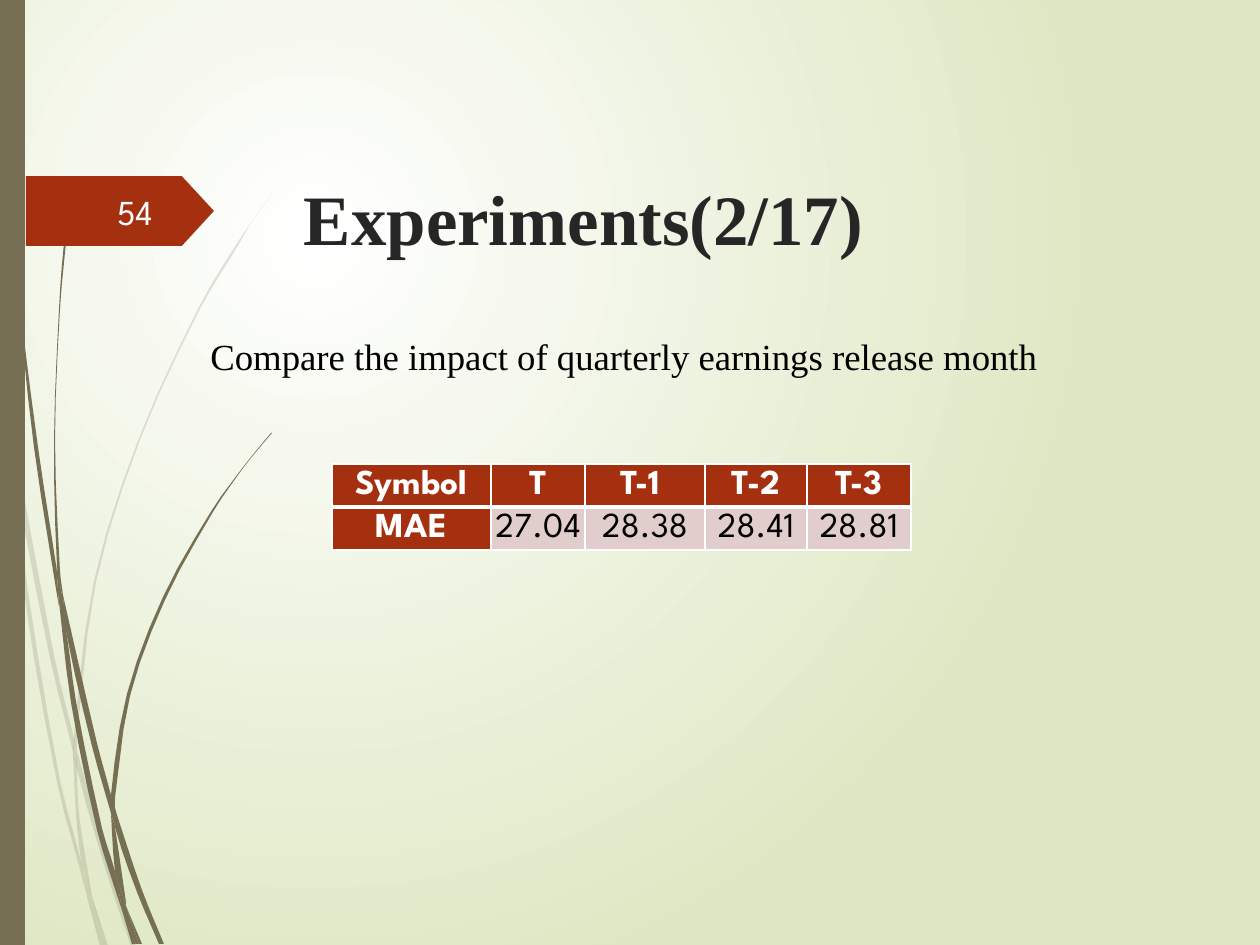
import math

from lxml import etree
from pptx import Presentation
from pptx import util as u
from pptx.dml.color import RGBColor
from pptx.enum import shapes, text
from pptx.oxml.ns import qn

PX = 914400 / 126
OLIVE = RGBColor(0x76, 0x6F, 0x54)
RUST = RGBColor(0xA5, 0x30, 0x10)
PINK = RGBColor(0xE1, 0xCD, 0xCC)
PALE_GREEN = RGBColor(0xDF, 0xE8, 0xC4)
CHARCOAL = RGBColor(0x26, 0x26, 0x26)
BLACK = RGBColor(0, 0, 0)
WHITE = RGBColor(0xFF, 0xFF, 0xFF)
SANS, SERIF = "League Spartan", "Times New Roman"

TITLE = "Experiments(2/17)"
SUBTITLE = "Compare the impact of quarterly earnings release month"
PAGE = "54"
ROWS = [
    ("Symbol", "T", "T-1 ", "T-2", "T-3"),
    ("MAE", "27.04", "28.38", "28.41", "28.81"),
]
COLUMN_WIDTHS = (159, 94, 120, 102, 104)
ROW_HEIGHT = 43

FAINT, SOLID = 20, 100
FAINT_BLADES = [
    ([(10, 441), (8, 406), (0, 355)], [(0, 377), (9, 433), (10, 441)]),
    ([(13, 435), (15, 474), (50, 658), (74, 755)], [(74, 738), (54, 655), (13, 435)]),
    ([(77, 751), (77, 769), (107, 874), (131, 946)], [(136, 946), (111, 872), (81, 765), (77, 751)]),
    ([(92, 896), (105, 946)], [(108, 946), (92, 896)]),
    ([(10, 441), (24, 592), (57, 782), (81, 873), (88, 900)],
     [(87, 891), (81, 861), (60, 780), (28, 591), (15, 474), (10, 441)]),
    ([(73, 755), (76, 814), (81, 861), (84, 872), (92, 896)],
     [(91, 890), (79, 814), (77, 769), (77, 766), (73, 755)]),
    ([(273, 193), (253, 220), (234, 248), (199, 307), (139, 438), (94, 581), (74, 736), (77, 751)],
     [(77, 736), (96, 582), (140, 440), (200, 309), (236, 249), (253, 220), (273, 193)]),
    ([(88, 900), (100, 946)], [(103, 946), (88, 900)]),
    ([(74, 738), (73, 755), (77, 766), (77, 769)], [(77, 751), (74, 738)]),
    ([(82, 861), (87, 891), (88, 900), (103, 946)], [(105, 946), (92, 896), (84, 872), (82, 861)]),
]
SOLID_BLADES = [
    ([(3, 0), (4, 60), (6, 139), (18, 294), (34, 447), (58, 601), (59, 606)],
     [(57, 576), (57, 571), (38, 447), (19, 292), (8, 137), (5, 60), (4, 0)]),
    ([(63, 595), (67, 636), (92, 746), (111, 813)], [(111, 798), (111, 795), (97, 743), (63, 595)]),
    ([(115, 808), (115, 827), (137, 892), (159, 944)], [(164, 944), (142, 890), (118, 818), (115, 808)]),
    ([(59, 601), (71, 702), (97, 830), (116, 892), (122, 910)],
     [(121, 903), (115, 871), (102, 828), (76, 701), (67, 636), (59, 601)]),
    ([(73, 178), (64, 243), (59, 309), (54, 440), (57, 566), (62, 595)],
     [(63, 595), (60, 571), (55, 440), (60, 309), (66, 243), (73, 178)]),
    ([(126, 906), (139, 944)], [(142, 944), (126, 906)]),
    ([(57, 566), (57, 571), (59, 601), (67, 636)], [(63, 595), (62, 595), (57, 566)]),
    ([(271, 433), (256, 451), (241, 470), (212, 510), (163, 597), (127, 694), (111, 795), (115, 808)],
     [(115, 798), (130, 696), (165, 600), (213, 512), (241, 471), (256, 452), (272, 433)]),
    ([(122, 910), (132, 944)], [(136, 944), (122, 910)]),
    ([(111, 813), (115, 871), (121, 890), (126, 906)], [(126, 902), (115, 827), (113, 820), (111, 813)]),
    ([(111, 795), (111, 798), (111, 813), (113, 820), (115, 827)], [(115, 808), (111, 795)]),
    ([(115, 871), (121, 903), (122, 910), (136, 944)], [(139, 944), (126, 906), (121, 890), (115, 871)]),
]


def px(*lengths):
    return [u.Emu(round(length * PX)) for length in lengths]


def smooth_edge(points, steps=3):
    directions = []
    for before, after in zip([points[0], *points], [*points[1:], points[-1]]):
        length = math.dist(before, after)
        directions.append([(b - a) / length for a, b in zip(before, after)])
    edge = []
    for start, end, leave, arrive in zip(points, points[1:], directions, directions[1:]):
        chord = math.dist(start, end)
        for step in range(steps):
            t = step / steps
            blend = t * t * (3 - 2 * t)
            edge.append([
                a + (b - a) * blend + chord * (m * t * (1 - t) ** 2 - n * t * t * (1 - t))
                for a, b, m, n in zip(start, end, leave, arrive)])
    return edge + [points[-1]]


def paint(shape, color, opacity=SOLID):
    shape.shadow.inherit = False
    shape.line.fill.background()
    shape.fill.solid()
    shape.fill.fore_color.rgb = color
    if opacity < SOLID:
        color_node = shape.fill._xPr.find(".//" + qn("a:srgbClr"))
        etree.SubElement(color_node, qn("a:alpha"), val=str(opacity * 1000))


def add_blade(slide, edges, opacity):
    outline = [px(*point) for edge in edges for point in smooth_edge(edge)]
    builder = slide.shapes.build_freeform(*outline[0])
    builder.add_line_segments(outline[1:], close=True)
    paint(builder.convert_to_shape(), OLIVE, opacity)


def write(frame, content, font_name, size, color, bold=False, align=text.PP_ALIGN.LEFT):
    paragraph = frame.paragraphs[0]
    paragraph.text = content
    paragraph.alignment = align
    font = paragraph.font
    font.name, font.size, font.bold = font_name, u.Pt(size), bold
    font.color.rgb = color


def set_borders(cell, bottom_points):
    properties = cell._tc.get_or_add_tcPr()
    for side, points in (("L", 1), ("R", 1), ("T", 1), ("B", bottom_points)):
        line = etree.SubElement(properties, qn("a:ln" + side), w=str(u.Pt(points)))
        fill = etree.SubElement(line, qn("a:solidFill"))
        etree.SubElement(fill, qn("a:srgbClr"), val=str(WHITE))


def paint_background(slide):
    fill = slide.background.fill
    fill.gradient()
    for stop, color, position in zip(fill.gradient_stops, (WHITE, PALE_GREEN), (0, 1)):
        stop.color.rgb = color
        stop.position = position
    gradient = slide.background._cSld.find(".//" + qn("a:gradFill"))
    circle = etree.Element(qn("a:path"), attrib={"path": "circle"})
    etree.SubElement(circle, qn("a:fillToRect"), l="50000", t="50000", r="100000", b="100000")
    gradient.replace(gradient.find(qn("a:lin")), circle)


def add_results_table(slide):
    frame = slide.shapes.add_table(
        len(ROWS), len(COLUMN_WIDTHS),
        *px(332, 464, sum(COLUMN_WIDTHS), ROW_HEIGHT * len(ROWS)))
    table = frame.table
    for column, width in zip(table.columns, px(*COLUMN_WIDTHS)):
        column.width = width
    for r, values in enumerate(ROWS):
        table.rows[r].height = px(ROW_HEIGHT)[0]
        for c, value in enumerate(values):
            cell = table.cell(r, c)
            heading = r == 0 or c == 0
            set_borders(cell, 3 if r == 0 else 1)
            cell.fill.solid()
            cell.fill.fore_color.rgb = RUST if heading else PINK
            cell.margin_left, cell.margin_top, cell.margin_right, cell.margin_bottom = px(1, 1, 1, 0)
            cell.vertical_anchor = text.MSO_ANCHOR.MIDDLE
            write(cell.text_frame, value, SANS, 20, WHITE if heading else BLACK,
                  heading, text.PP_ALIGN.CENTER)


def main():
    presentation = Presentation()
    presentation.slide_width, presentation.slide_height = px(1260, 945)
    slide = presentation.slides.add_slide(presentation.slide_layouts[5])
    paint_background(slide)

    for blades, opacity in ((FAINT_BLADES, FAINT), (SOLID_BLADES, SOLID)):
        for edges in blades:
            add_blade(slide, edges, opacity)
    paint(slide.shapes.add_shape(shapes.MSO_SHAPE.RECTANGLE, *px(0, 0, 25, 945)), OLIVE)
    tag = slide.shapes.add_shape(shapes.MSO_SHAPE.PENTAGON, *px(26, 176, 188, 70))
    tag.adjustments[0] = 0.46
    paint(tag, RUST)

    page = slide.shapes.add_textbox(*px(84, 186, 81, 50)).text_frame
    page.word_wrap = True
    page.vertical_anchor = text.MSO_ANCHOR.MIDDLE
    write(page, PAGE, SANS, 20, WHITE, align=text.PP_ALIGN.RIGHT)

    title = slide.shapes.title
    title.left, title.top, title.width, title.height = px(295, 170, 670, 132)
    frame = title.text_frame
    frame.auto_size = text.MSO_AUTO_SIZE.NONE
    frame.vertical_anchor = text.MSO_ANCHOR.TOP
    frame.margin_left, frame.margin_top, frame.margin_right, frame.margin_bottom = px(9, 5, 9, 5)
    write(frame, TITLE, SERIF, 40.5, CHARCOAL, bold=True)

    subtitle = slide.shapes.add_textbox(*px(198, 328, 1201, 57)).text_frame
    subtitle.word_wrap = True
    write(subtitle, SUBTITLE, SERIF, 21, BLACK)

    add_results_table(slide)
    presentation.save("out.pptx")


if __name__ == "__main__":
    main()
